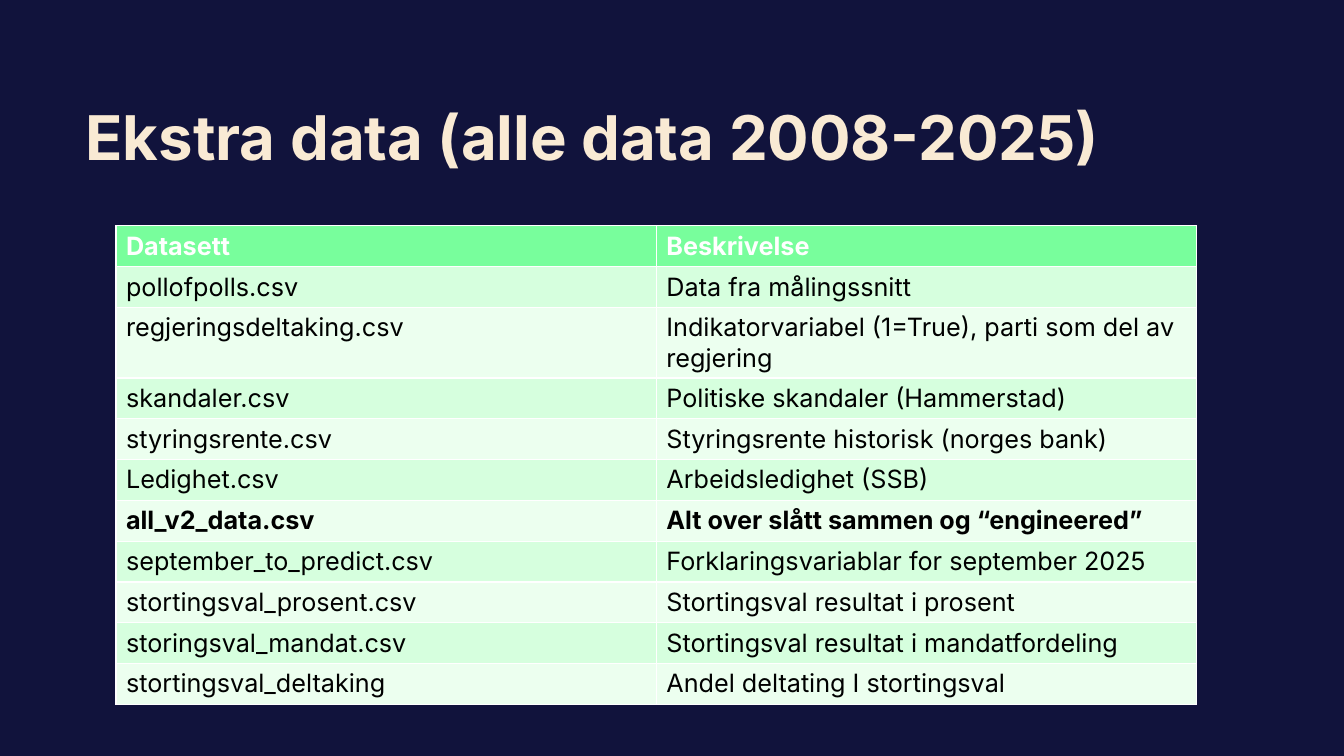
from pptx import Presentation
from pptx.dml.color import RGBColor
from pptx.enum.text import MSO_ANCHOR
from pptx.util import Inches, Pt

MIDDLE = MSO_ANCHOR.MIDDLE
FONT = "Inter"
HEADER_FILL = "78FE9C"
BAND_FILLS = ["ECFFEF", "D6FFDE"]
BOLD_ROWS = [0, 6]
ROWS = [
    ("Datasett", "Beskrivelse"),
    ("pollofpolls.csv", "Data fra målingssnitt"),
    ("regjeringsdeltaking.csv", "Indikatorvariabel (1=True), parti som del av regjering"),
    ("skandaler.csv", "Politiske skandaler (Hammerstad)"),
    ("styringsrente.csv", "Styringsrente historisk (norges bank)"),
    ("Ledighet.csv", "Arbeidsledighet (SSB)"),
    ("all_v2_data.csv", "Alt over slått sammen og “engineered”"),
    ("september_to_predict.csv", "Forklaringsvariablar for september 2025"),
    ("stortingsval_prosent.csv", "Stortingsval resultat i prosent"),
    ("storingsval_mandat.csv", "Stortingsval resultat i mandatfordeling"),
    ("stortingsval_deltaking", "Andel deltating I stortingsval"),
]


def rgb(color):
    return RGBColor.from_string(color)


def style(p, size, color, bold):
    p.font.name = FONT
    p.font.size = Pt(size)
    p.font.bold = bold
    p.font.color.rgb = rgb(color)


prs = Presentation()
prs.slide_width = Inches(13.33)
prs.slide_height = Inches(7.5)
s = prs.slides.add_slide(prs.slide_layouts[6])
s.background.fill.solid()
s.background.fill.fore_color.rgb = rgb("11133C")

title = s.shapes.add_textbox(Inches(0.75), Inches(0.96), Inches(11.71), Inches(0.87))
tf = title.text_frame
tf.word_wrap = True
tf.vertical_anchor = MIDDLE
p = tf.paragraphs[0]
p.text = "Ekstra data (alle data 2008-2025)"
p.line_spacing = 0.9
style(p, 44, "F9EAD4", True)

row_height = Inches(0.405)
frame = s.shapes.add_table(len(ROWS), 2, Inches(1.15), Inches(2.24),
                           Inches(10.72), row_height * len(ROWS))
table = frame.table
for i, texts in enumerate(ROWS):
    table.rows[i].height = row_height
    for j, text in enumerate(texts):
        cell = table.cell(i, j)
        cell.fill.solid()
        cell.fill.fore_color.rgb = rgb(BAND_FILLS[i % 2] if i else HEADER_FILL)
        p = cell.text_frame.paragraphs[0]
        p.text = text
        style(p, 18, "000000" if i else "FFFFFF", i in BOLD_ROWS)

prs.save("out.pptx")
